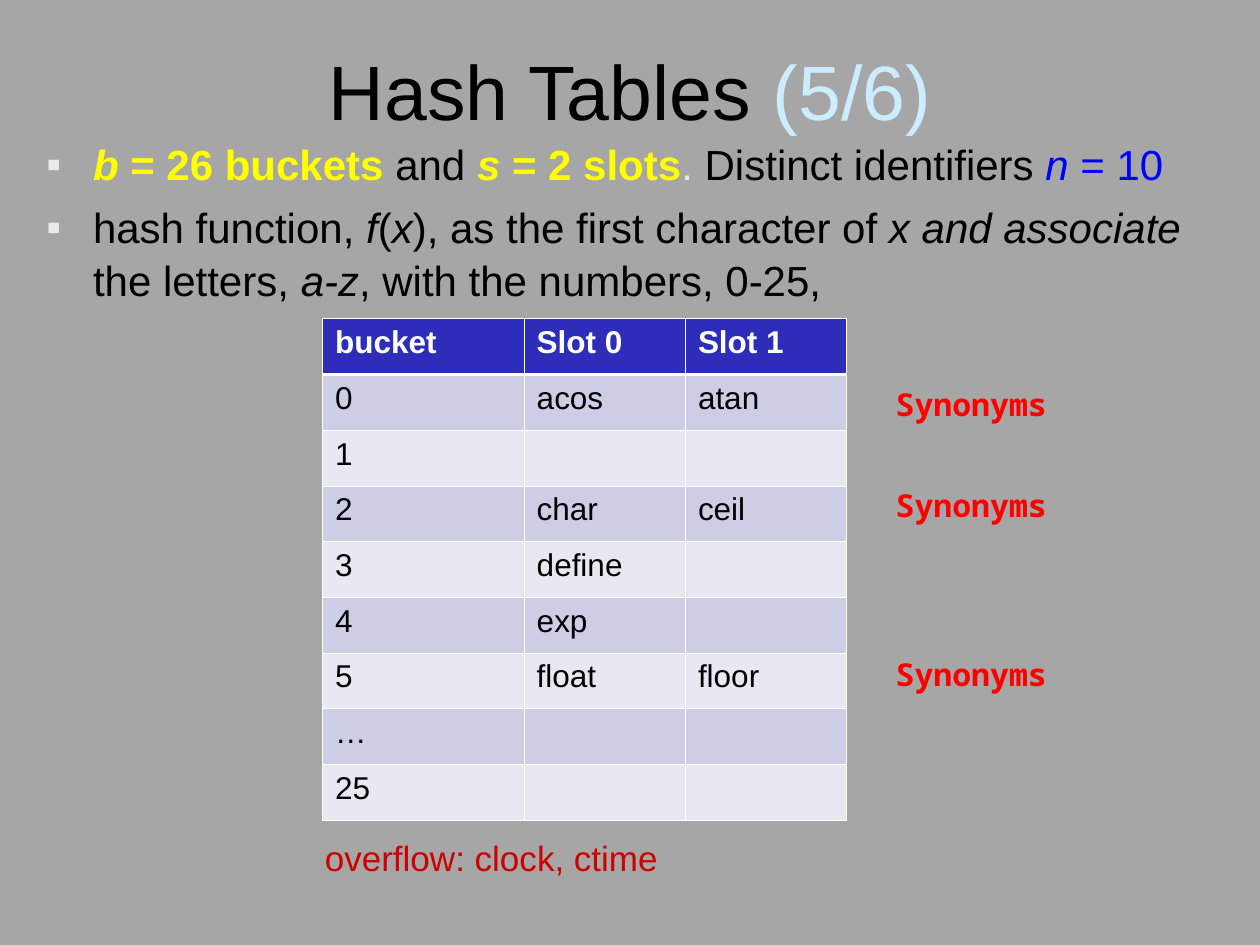
from lxml.etree import SubElement
from pptx import Presentation
from pptx.dml.color import RGBColor
from pptx.enum.shapes import MSO_SHAPE
from pptx.enum.text import MSO_ANCHOR, PP_ALIGN
from pptx.oxml.ns import qn
from pptx.util import Inches, Pt

COLORS = {
    "background": "A6A6A6", "black": "000000", "white": "FFFFFF",
    "pale_blue": "CCECFF", "yellow": "FFFF00", "blue": "0000FF",
    "bullet": "EAEAEA", "red": "FF0000", "dark_red": "CE0000",
    "header": "2D2DB9", "odd_row": "CDCDE6", "even_row": "E8E8F3",
}


def rgb(name):
    return RGBColor.from_string(COLORS[name])


def add_run(paragraph, text, size, color="black", style="", font="Arial"):
    run = paragraph.add_run()
    run.text = text
    run.font.size = Pt(size)
    run.font.name = font
    run.font.color.rgb = rgb(color)
    run.font.bold = "b" in style
    run.font.italic = "i" in style


prs = Presentation()
prs.slide_width, prs.slide_height = Inches(10), Inches(7.5)
slide = prs.slides.add_slide(prs.slide_layouts[6])
slide.background.fill.solid()
slide.background.fill.fore_color.rgb = rgb("background")

title = slide.shapes.add_shape(
    MSO_SHAPE.RECTANGLE, Inches(0.5), Inches(0.28), Inches(9), Inches(0.87))
title.shadow.inherit = False
title.fill.solid()
title.fill.fore_color.rgb = rgb("background")
title.line.fill.background()
title.text_frame.word_wrap = True
title.text_frame.vertical_anchor = MSO_ANCHOR.MIDDLE
heading = title.text_frame.paragraphs[0]
heading.alignment = PP_ALIGN.CENTER
add_run(heading, "Hash Tables ", 44)
add_run(heading, "(5/6)", 44, "pale_blue")

points = [
    [("b ", "yellow", "bi"), ("= 26 buckets ", "yellow", "b"), ("and ", "black", ""),
     ("s", "yellow", "bi"), (" = 2 slots", "yellow", "b"), (". ", "bullet", ""),
     ("Distinct identifiers ", "black", ""), ("n", "blue", "i"), (" = 10", "blue", "")],
    [("hash function, ", "black", ""), ("f", "black", "i"), ("(", "black", ""),
     ("x", "black", "i"), ("), as the first character of ", "black", ""),
     ("x and associate ", "black", "i"), ("the letters, ", "black", ""),
     ("a-z", "black", "i"), (", with the numbers, 0-25,", "black", "")],
]
body = slide.shapes.add_textbox(
    Inches(0.27), Inches(1.03), Inches(9.73), Inches(4.1)).text_frame
body.word_wrap = True
body.margin_right = Inches(0.2)
for index, runs in enumerate(points):
    point = body.add_paragraph() if index else body.paragraphs[0]
    point.line_spacing = 1.05
    if index:
        point.space_before = Pt(6)
    properties = point._p.get_or_add_pPr()
    properties.set("marL", str(Inches(0.37)))
    properties.set("indent", str(-Inches(0.37)))
    bullet_color = SubElement(properties, qn("a:buClr"))
    SubElement(bullet_color, qn("a:srgbClr"), val=COLORS["bullet"])
    SubElement(properties, qn("a:buFont"), typeface="Arial")
    SubElement(properties, qn("a:buChar"), char="▪")
    for text, color, style in runs:
        add_run(point, text, 24, color, style)

labels = [("Synonyms", 7.01, top, 1.42, 0.7, 18, "red", "b", "Noto Sans Mono")
          for top in (3.01, 3.81, 5.15)]
labels.append(("overflow: clock, ctime", 2.48, 6.59, 2.91, 0.44, 20, "dark_red", "", "Arial"))
for text, left, top, width, height, size, color, style, font in labels:
    label = slide.shapes.add_textbox(
        Inches(left), Inches(top), Inches(width), Inches(height)).text_frame
    label.word_wrap = True
    add_run(label.paragraphs[0], text, size, color, style, font)

buckets = [
    ("bucket", "Slot 0", "Slot 1"),
    ("0", "acos", "atan"),
    ("1", "", ""),
    ("2", "char", "ceil"),
    ("3", "define", ""),
    ("4", "exp", ""),
    ("5", "float", "floor"),
    ("…", "", ""),
    ("25", "", ""),
]
hash_table = slide.shapes.add_table(
    len(buckets), 3, Inches(2.56), Inches(2.53), Inches(4.17), Inches(3.98)).table
for column, width in zip(hash_table.columns, (1.6, 1.28, 1.28)):
    column.width = Inches(width)
for row, entries in enumerate(buckets):
    fill = "header" if row == 0 else "odd_row" if row % 2 else "even_row"
    for column, text in enumerate(entries):
        cell = hash_table.cell(row, column)
        if text:
            add_run(cell.text_frame.paragraphs[0], text, 18,
                    "black" if row else "white", "" if row else "b")
        cell_properties = cell._tc.get_or_add_tcPr()
        for side in ("L", "R", "T", "B"):
            thick = (row, side) in ((0, "B"), (1, "T"))
            border = SubElement(cell_properties, qn(f"a:ln{side}"),
                                w=str(Pt(1.47 if thick else 0.45)))
            border_fill = SubElement(border, qn("a:solidFill"))
            SubElement(border_fill, qn("a:srgbClr"), val=COLORS["white"])
        cell.fill.solid()
        cell.fill.fore_color.rgb = rgb(fill)

prs.save("out.pptx")
